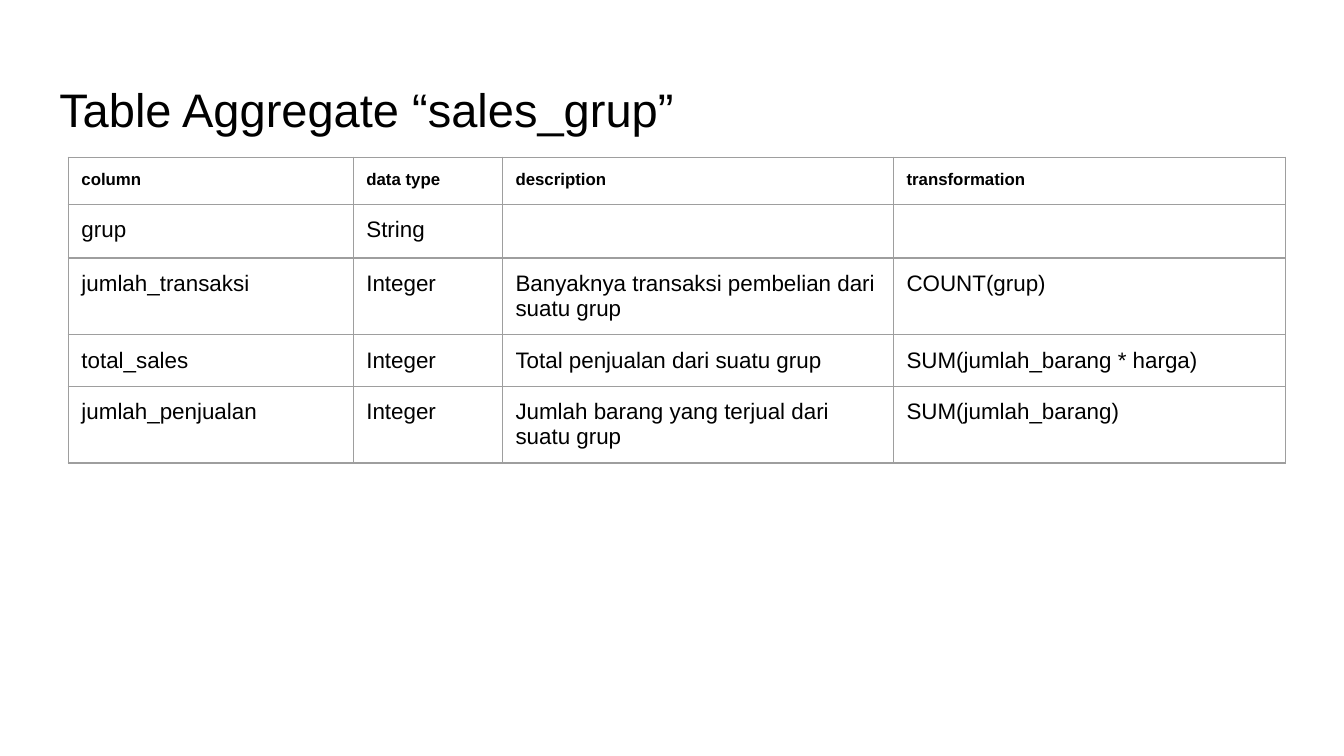
from lxml import etree
from pptx import Presentation
from pptx import util as u
from pptx.dml.color import RGBColor
from pptx.enum import text
from pptx.oxml import ns

BLACK = RGBColor(0x00, 0x00, 0x00)
WHITE = RGBColor(0xFF, 0xFF, 0xFF)
GRID_GREY = RGBColor(0x9E, 0x9E, 0x9E)
FONT = "Arial"
INSET = u.Cm(0.25)
COLUMN_SHARES = (2.12, 1.11, 2.91, 2.92)
ROW_HEIGHT = u.Cm(0.89)
ROWS = (
    ("column", "data type", "description", "transformation"),
    ("grup", "String", "", ""),
    ("jumlah_transaksi", "Integer",
     "Banyaknya transaksi pembelian dari suatu grup", "COUNT(grup)"),
    ("total_sales", "Integer",
     "Total penjualan dari suatu grup", "SUM(jumlah_barang * harga)"),
    ("jumlah_penjualan", "Integer",
     "Jumlah barang yang terjual dari suatu grup", "SUM(jumlah_barang)"),
)


def format_para(para, size, bold=False):
    """Format the runs of a paragraph and the size of its end mark."""
    for span in para.runs:
        span.font.name = FONT
        span.font.size = u.Pt(size)
        span.font.bold = bold
        span.font.color.rgb = BLACK
    end_mark = etree.SubElement(para._p, ns.qn("a:endParaRPr"))
    end_mark.set("sz", str(round(size * 100)))


def set_insets(holder):
    """Give a cell or text frame the same inset on every side."""
    holder.margin_left = holder.margin_right = INSET
    holder.margin_top = holder.margin_bottom = INSET


def add_borders(cell):
    """Draw a thin grey line on each side of a cell."""
    properties = cell._tc.get_or_add_tcPr()
    for position, side in enumerate(("lnL", "lnR", "lnT", "lnB")):
        line = etree.Element(ns.qn(f"a:{side}"), w=str(u.Pt(0.75)))
        fill = etree.SubElement(line, ns.qn("a:solidFill"))
        etree.SubElement(fill, ns.qn("a:srgbClr"), val=str(GRID_GREY))
        properties.insert(position, line)


def place_title(page, left, top, width, height):
    """Place and format the page title in the given box."""
    title = page.shapes.title
    title.left, title.top, title.width, title.height = left, top, width, height
    frame = title.text_frame
    frame.text = "Table Aggregate “sales_grup”"
    frame.word_wrap = True
    frame.auto_size = text.MSO_AUTO_SIZE.NONE
    frame.vertical_anchor = text.MSO_ANCHOR.BOTTOM
    set_insets(frame)
    para = frame.paragraphs[0]
    para.alignment = text.PP_ALIGN.LEFT
    format_para(para, 25.2)


def place_column_table(page, left, top, width):
    """Place the table of aggregate columns across the given width."""
    table = page.shapes.add_table(
        len(ROWS), len(COLUMN_SHARES), left, top, width, ROW_HEIGHT * len(ROWS)
    ).table
    table.horz_banding = False
    for column, share in zip(table.columns, COLUMN_SHARES):
        column.width = round(width * share / sum(COLUMN_SHARES))
    for row_index, row in enumerate(ROWS):
        is_header = row_index == 0
        for column_index, wording in enumerate(row):
            cell = table.cell(row_index, column_index)
            cell.text_frame.text = wording
            set_insets(cell)
            cell.fill.solid()
            cell.fill.fore_color.rgb = WHITE
            add_borders(cell)
            format_para(cell.text_frame.paragraphs[0],
                        9 if is_header else 12, is_header)


def main():
    """Build the deck and save it."""
    deck = Presentation()
    deck.slide_width, deck.slide_height = u.Cm(25.4), u.Cm(14.29)
    page = deck.slides.add_slide(deck.slide_layouts.get_by_name("Title Only"))
    place_title(page, u.Cm(0.87), u.Cm(1.24), u.Cm(23.67), u.Cm(1.6))
    place_column_table(page, u.Cm(1.29), u.Cm(2.97), u.Cm(23.01))
    deck.save("out.pptx")


if __name__ == "__main__":
    main()
